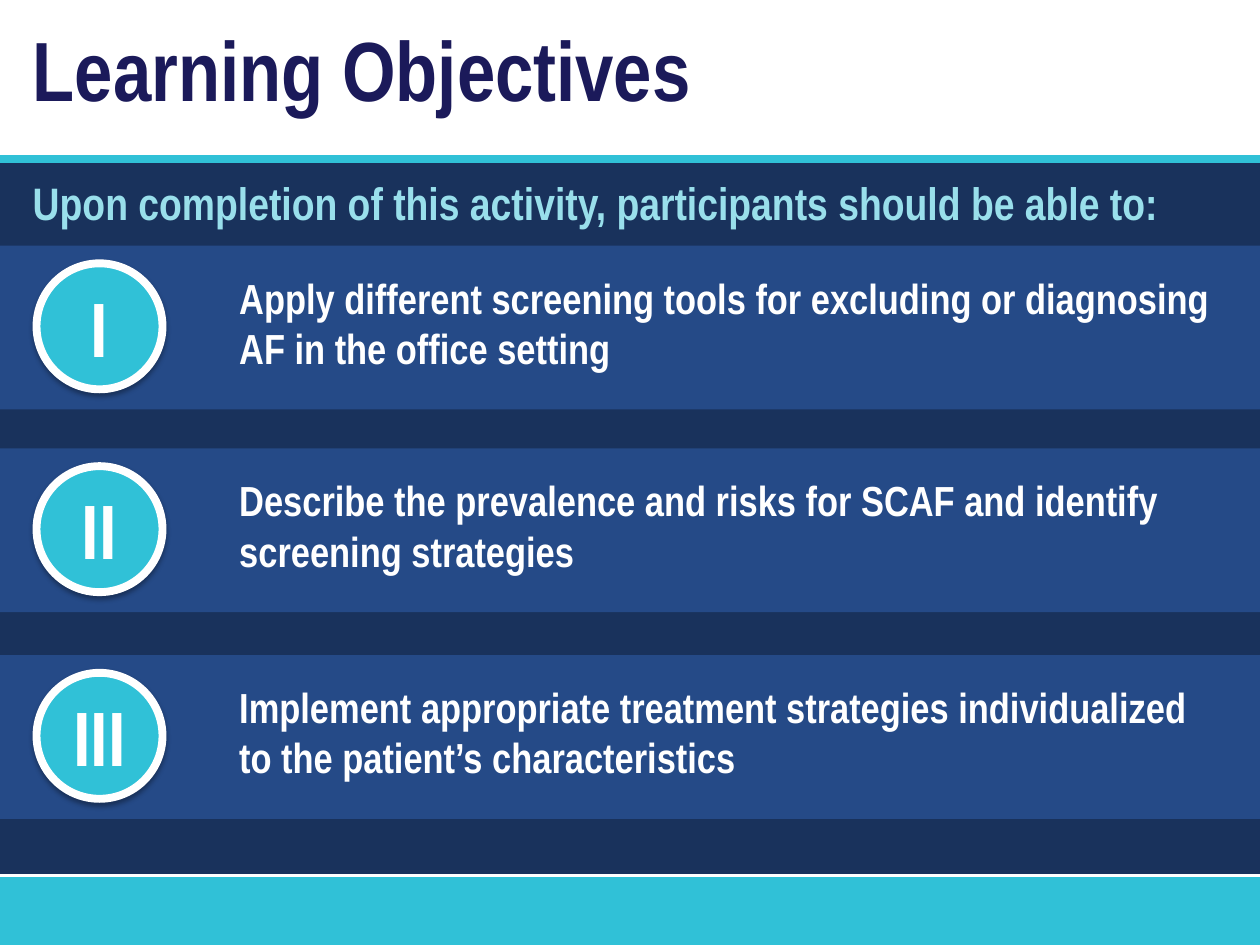
import pptx
import pptx.dml.color
import pptx.enum.shapes
import pptx.enum.text
import pptx.oxml
import pptx.oxml.ns
import pptx.util

Inches = pptx.util.Inches
Pt = pptx.util.Pt
MSO_SHAPE = pptx.enum.shapes.MSO_SHAPE
PP_ALIGN = pptx.enum.text.PP_ALIGN
MSO_ANCHOR = pptx.enum.text.MSO_ANCHOR

WIDTH, HEIGHT = 10, 7.5
HEADER_BOTTOM, FOOTER_TOP = 1.26, 6.96
BAND_HEIGHT = 1.3
NAVY, BLUE, CYAN, WHITE = "19325C", "254A87", "30C1D7", "FFFFFF"
FONT = "Arial Narrow"

# numeral, wording, band top, text width
OBJECTIVES = [
    ("I", "Apply different screening tools for excluding or diagnosing AF in the office setting", 1.95, 7.91),
    ("II", "Describe the prevalence and risks for SCAF and identify screening strategies", 3.56, 7.65),
    ("III", "Implement appropriate treatment strategies individualized to the patient’s characteristics", 5.2, 7.91),
]


def color(hex_value):
    return pptx.dml.color.RGBColor.from_string(hex_value)


def box(left, top, width, height):
    return [Inches(value) for value in (left, top, width, height)]


def add_effects(shape, effects=""):
    """Append an effect list; an empty one switches off the theme's effects."""
    namespace = pptx.oxml.ns.nsdecls("a")
    shape._element.spPr.append(
        pptx.oxml.parse_xml(f"<a:effectLst {namespace}>{effects}</a:effectLst>"))


def add_soft_shadow(shape):
    add_effects(shape, f'<a:outerShdw blurRad="{Pt(3.1)}" dist="{Pt(1.8)}" dir="5400000" '
                       'rotWithShape="0"><a:srgbClr val="000000">'
                       '<a:alpha val="35000"/></a:srgbClr></a:outerShdw>')


def write(shape, wording, size, hex_value, align=PP_ALIGN.LEFT, anchor=MSO_ANCHOR.TOP):
    frame = shape.text_frame
    frame.word_wrap = True
    frame.auto_size = pptx.enum.text.MSO_AUTO_SIZE.NONE
    frame.vertical_anchor = anchor
    paragraph = frame.paragraphs[0]
    paragraph.alignment = align
    paragraph.space_before = Pt(0)
    run = paragraph.add_run()
    run.text = wording
    run.font.name = FONT
    run.font.size = Pt(size)
    run.font.bold = True
    run.font.color.rgb = color(hex_value)
    return paragraph


def add_band(slide, top, height, fill, shadow=False):
    band = slide.shapes.add_shape(MSO_SHAPE.RECTANGLE, *box(0, top, WIDTH, height))
    band.fill.solid()
    band.fill.fore_color.rgb = color(fill)
    band.line.fill.background()
    if shadow:
        add_soft_shadow(band)
    else:
        band.shadow.inherit = False


def add_rule(slide, y, hex_value, weight):
    rule = slide.shapes.add_connector(
        pptx.enum.shapes.MSO_CONNECTOR.STRAIGHT, *box(0, y, WIDTH, y))
    rule.line.color.rgb = color(hex_value)
    rule.line.width = Pt(weight)
    add_effects(rule)


def add_badge(slide, numeral, top):
    badge = slide.shapes.add_shape(MSO_SHAPE.FLOWCHART_CONNECTOR, *box(0.29, top, 1, 1))
    badge.fill.solid()
    badge.fill.fore_color.rgb = color(CYAN)
    badge.line.color.rgb = color(WHITE)
    badge.line.width = Pt(4.5)
    add_soft_shadow(badge)
    write(badge, numeral, 44, WHITE, PP_ALIGN.CENTER, MSO_ANCHOR.MIDDLE)


def add_objective(slide, numeral, wording, top, width):
    add_band(slide, top, BAND_HEIGHT, BLUE)
    add_badge(slide, numeral, top + 0.14)
    label = slide.shapes.add_textbox(*box(1.8, top + 0.16, width, 0.91))
    write(label, wording, 24, WHITE)


def fill_placeholder(slide, placeholder, bounds, wording, size, hex_value):
    """Place the text and bring it in front of the bands."""
    placeholder.left, placeholder.top, placeholder.width, placeholder.height = box(*bounds)
    slide.shapes._spTree.append(placeholder._element)
    return write(placeholder, wording, size, hex_value)


def remove_bullet(paragraph):
    properties = paragraph._p.get_or_add_pPr()
    properties.set("marL", "0")
    properties.set("indent", "0")
    properties.append(pptx.oxml.parse_xml(f'<a:buNone {pptx.oxml.ns.nsdecls("a")}/>'))


def main():
    presentation = pptx.Presentation()
    presentation.slide_width = Inches(WIDTH)
    presentation.slide_height = Inches(HEIGHT)
    slide = presentation.slides.add_slide(presentation.slide_layouts[1])
    title, intro = slide.placeholders

    add_band(slide, HEADER_BOTTOM, FOOTER_TOP - HEADER_BOTTOM, NAVY)
    add_band(slide, FOOTER_TOP, HEIGHT - FOOTER_TOP, CYAN, shadow=True)
    add_rule(slide, HEADER_BOTTOM, CYAN, 4.5)
    add_rule(slide, FOOTER_TOP - 0.01, WHITE, 1.5)
    for objective in OBJECTIVES:
        add_objective(slide, *objective)

    fill_placeholder(slide, title, (0.16, 0.09, 8.82, 0.91), "Learning Objectives", 48, "1B1A5A")
    remove_bullet(fill_placeholder(
        slide, intro, (0.16, 1.34, 9.49, 0.6),
        "Upon completion of this activity, participants should be able to:", 26, "99DFEB"))
    presentation.save("out.pptx")


if __name__ == "__main__":
    main()
